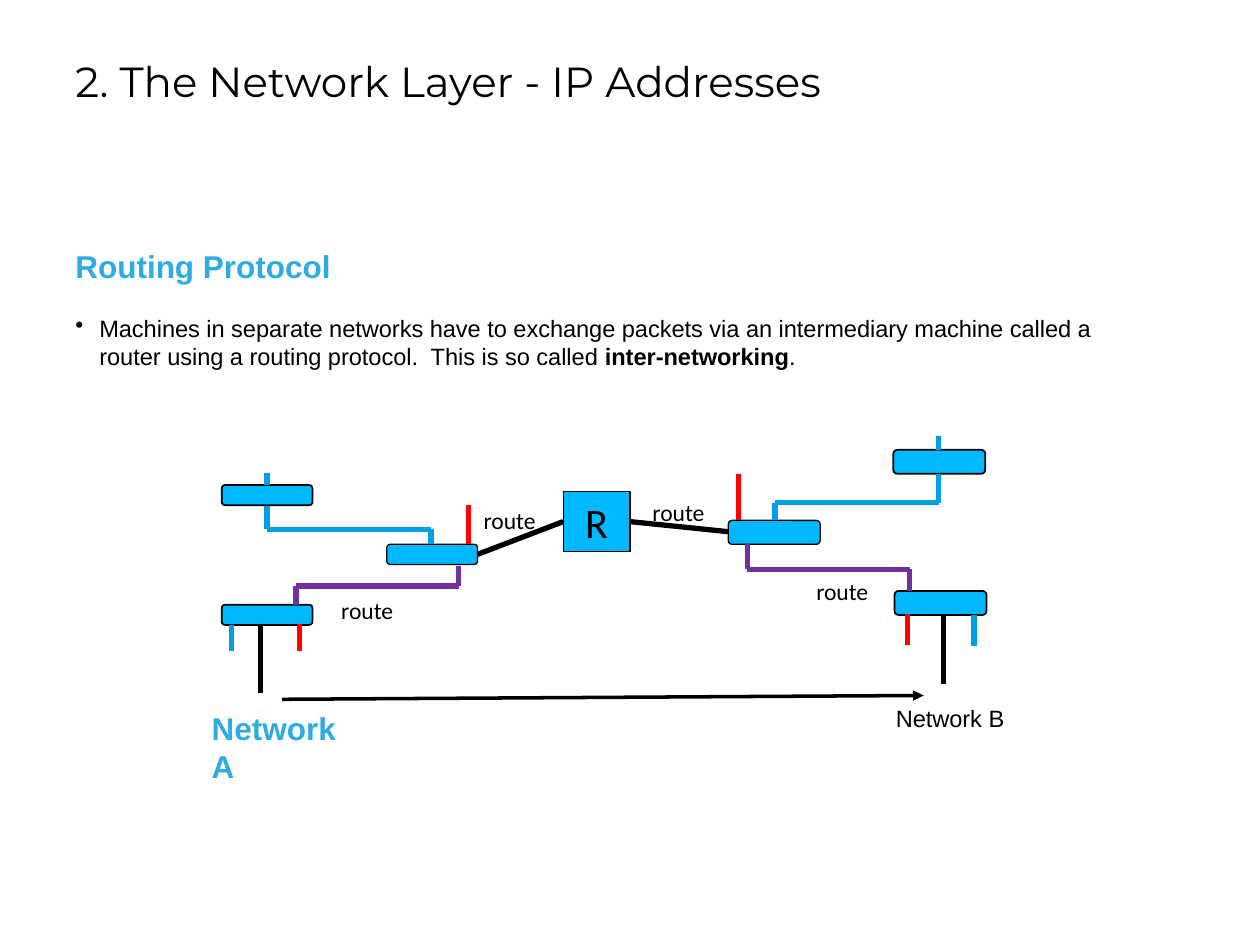
from itertools import pairwise

from lxml import etree
from pptx import Presentation
from pptx.dml.color import RGBColor
from pptx.enum import shapes, text
from pptx.oxml import ns
from pptx.util import Inches, Pt

BLACK = RGBColor(0x00, 0x00, 0x00)
HEADING = RGBColor(0x2E, 0xAB, 0xE2)
DEVICE = RGBColor(0x00, 0xB8, 0xFF)
BLUE = RGBColor(0x00, 0x9F, 0xE3)
PURPLE = RGBColor(0x70, 0x30, 0xA0)
RED = RGBColor(0xFF, 0x00, 0x00)


class NetworkSlide:
    """Draws text, devices and cables on one slide in a shared style."""

    def __init__(self, slide):
        self.shapes = slide.shapes

    def label(self, at, *parts, font="Arial", size=13.5, color=BLACK, bold=False,
              inset=(0.1, 0.05), wrap=True, after=0, bullet=False):
        box = self.shapes.add_textbox(*map(Inches, at))
        frame = box.text_frame
        frame.word_wrap = wrap
        frame.margin_left = frame.margin_right = Inches(inset[0])
        frame.margin_top = frame.margin_bottom = Inches(inset[1])
        para = frame.paragraphs[0]
        if bullet:
            props = para._p.get_or_add_pPr()
            props.set("marL", str(Inches(0.19)))
            props.set("indent", str(Inches(-0.19)))
            etree.SubElement(props, ns.qn("a:buChar")).set("char", "•")
        para.space_after = Pt(after)
        for words, strong in parts:
            span = para.add_run()
            span.text = words
            self.style(span.font, font, size, color, bold or strong)

    def style(self, font, name, size, color, bold=False):
        font.name, font.size, font.bold = name, Pt(size), bold
        font.color.rgb = color

    def heading(self, at, words, **options):
        self.label(at, (words, True), size=18, color=HEADING, after=4.5, **options)

    def device(self, at, border=1, kind=shapes.MSO_SHAPE.ROUNDED_RECTANGLE):
        box = self.shapes.add_shape(kind, *map(Inches, at))
        box.shadow.inherit = False
        box.fill.solid()
        box.fill.fore_color.rgb = DEVICE
        box.line.color.rgb = BLACK
        box.line.width = Pt(border)
        return box

    def router(self, at, words):
        box = self.device(at, 0.75, shapes.MSO_SHAPE.RECTANGLE)
        frame = box.text_frame
        frame.margin_left = frame.margin_right = Inches(0.07)
        frame.margin_top = frame.margin_bottom = Inches(0.04)
        frame.vertical_anchor = text.MSO_ANCHOR.MIDDLE
        para = frame.paragraphs[0]
        para.text = words
        para.alignment = text.PP_ALIGN.CENTER
        self.style(para.runs[0].font, "Calibri", 24, BLACK)

    def cable(self, color, *points, width=3, arrow=False):
        for start, end in pairwise(points):
            line = self.shapes.add_connector(
                shapes.MSO_CONNECTOR.STRAIGHT, *map(Inches, start + end))
            line.line.color.rgb = color
            line.line.width = Pt(width)
            if arrow:
                tip = etree.SubElement(line.line._get_or_add_ln(), ns.qn("a:tailEnd"))
                tip.set("type", "triangle")
            etree.SubElement(line._element.spPr, ns.qn("a:effectLst"))


def main():
    deck = Presentation()
    deck.slide_width, deck.slide_height = Inches(10), Inches(7.5)
    page = NetworkSlide(deck.slides.add_slide(deck.slide_layouts[6]))

    page.label((0.5, 0.39, 9.02, 0.5), ("2. The Network Layer - IP Addresses", False),
               font="Montserrat", size=24)
    page.label((0.5, 2.44, 8.49, 0.56),
               ("Machines in separate networks have to exchange packets via an "
                "intermediary machine called a router using a routing protocol.  "
                "This is so called ", False),
               ("inter-networking", True), (".", False), after=4.5, bullet=True)
    page.heading((0.5, 1.91, 9.02, 0.4), "Routing Protocol")
    page.heading((1.62, 5.57, 1.11, 0.35), "Network A", inset=(0.06, 0.06))

    for left, top, width, height, border in (
            (5.78, 4.13, 0.73, 0.19, 0.75), (7.09, 3.57, 0.73, 0.19, 1),
            (7.1, 4.69, 0.73, 0.19, 1), (3.07, 4.32, 0.72, 0.16, 0.75),
            (1.76, 3.85, 0.72, 0.16, 1), (1.76, 4.8, 0.72, 0.16, 1)):
        page.device((left, top, width, height), border)
    page.router((4.47, 3.9, 0.53, 0.48), "R")

    for color, *points in (
            (BLUE, (6.15, 4.13), (6.15, 3.99), (7.45, 3.99), (7.45, 3.76)),
            (BLUE, (7.45, 3.57), (7.45, 3.46)),
            (BLUE, (7.73, 4.88), (7.73, 5.13)),
            (PURPLE, (5.93, 4.32), (5.93, 4.52), (7.22, 4.52), (7.22, 4.69)),
            (RED, (5.86, 3.76), (5.86, 4.13)),
            (RED, (7.2, 4.87), (7.2, 5.12)),
            (BLACK, (7.49, 4.88), (7.49, 5.43)),
            (BLUE, (3.42, 4.32), (3.42, 4.2), (2.12, 4.2), (2.12, 4.02)),
            (BLUE, (2.12, 3.85), (2.12, 3.75)),
            (BLUE, (1.84, 4.96), (1.84, 5.17)),
            (PURPLE, (3.64, 4.49), (3.64, 4.65), (2.35, 4.65), (2.35, 4.8)),
            (RED, (3.72, 4.01), (3.72, 4.32)),
            (RED, (2.38, 4.95), (2.38, 5.17)),
            (BLACK, (2.07, 4.95), (2.07, 5.5)),
            (BLACK, (3.79, 4.4), (4.47, 4.14)),
            (BLACK, (5, 4.14), (5.78, 4.22))):
        page.cable(color, *points)
    page.cable(BLACK, (2.24, 5.55), (7.33, 5.52), width=2, arrow=True)

    page.label((7.05, 5.53, 0.99, 0.35), ("Network B", False), inset=(0.06, 0.06))
    for left, top in ((2.61, 4.68), (3.74, 3.97), (5.08, 3.9), (6.38, 4.53)):
        page.label((left, top, 0.62, 0.33), ("route", False), font="Calibri", wrap=False)

    deck.save("out.pptx")


if __name__ == "__main__":
    main()
